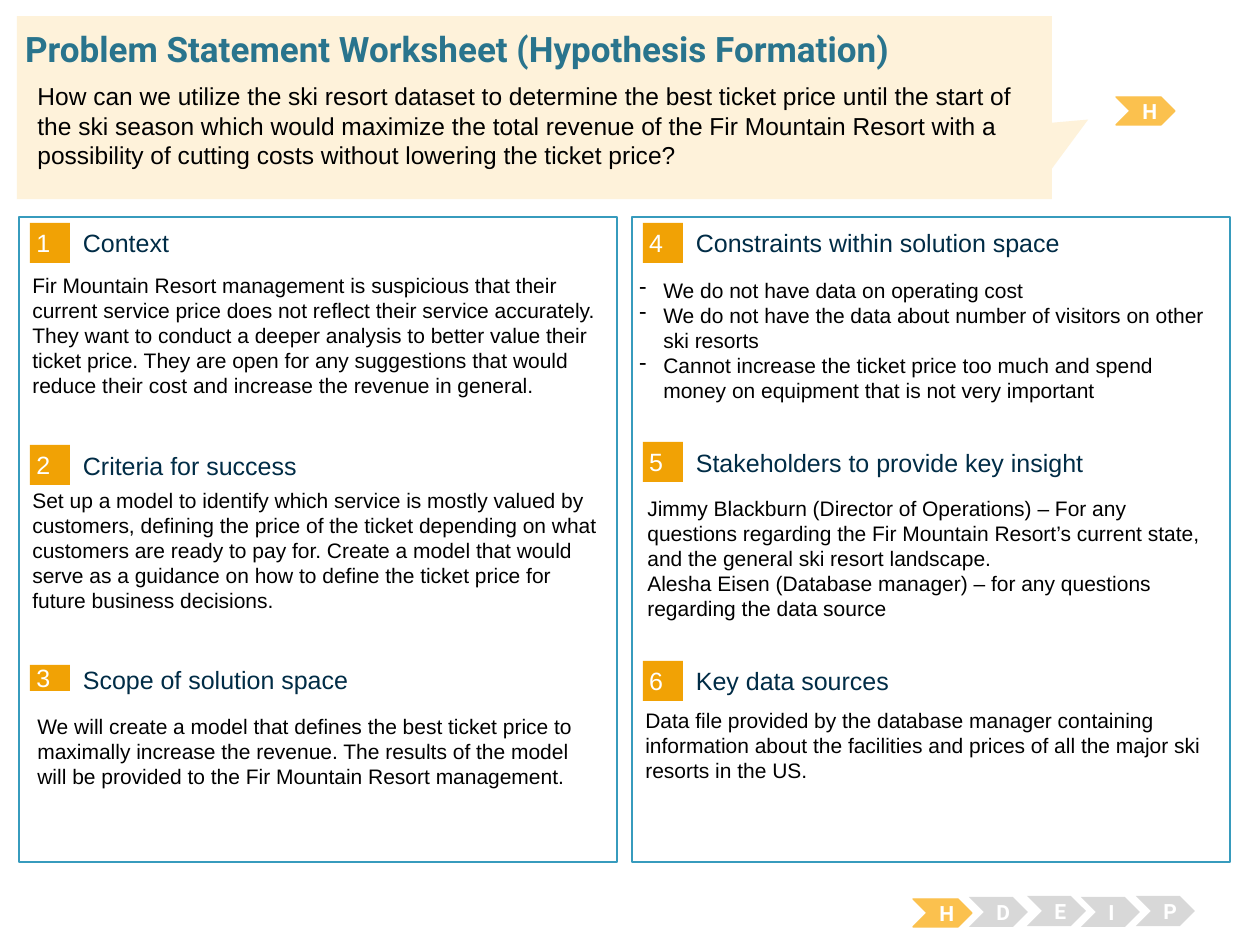
from lxml import etree
from pptx import Presentation, util as u
from pptx.dml.color import RGBColor
from pptx.enum import shapes, text
from pptx.oxml import ns

SCALE = 914400 // 126  # EMU per pixel
WHITE = RGBColor(0xFF, 0xFF, 0xFF)
BLACK = RGBColor(0, 0, 0)
TEAL = RGBColor(0x29, 0x74, 0x8D)
BORDER = RGBColor(0x37, 0x9B, 0xBD)
NAVY = RGBColor(0x00, 0x2C, 0x46)
ORANGE = RGBColor(0xF1, 0xA2, 0x05)
AMBER = RGBColor(0xFB, 0xC1, 0x4E)
GREY = RGBColor(0xD8, 0xD8, 0xD8)
CREAM = RGBColor(0xFE, 0xF2, 0xDA)
STANDARD_INSETS = (0.1, 0.05, 0.1, 0.05)
BADGE_INSETS = (0.05,) * 4
NO_INSETS = (0,) * 4

# Content
TITLE = "Problem Statement Worksheet (Hypothesis Formation)"
QUESTION = (
    "How can we utilize the ski resort dataset to determine the best ticket price until the start of "
    "the ski season which would maximize the total revenue of the Fir Mountain Resort with a "
    "possibility of cutting costs without lowering the ticket price?")

# Column, heading, badge top and height, heading top and height, body box, bulleted, paragraphs
SECTIONS = [
    (0, "Context", (223, 40), (227, 32), (20, 266, 596, 171), False, [
        "Fir Mountain Resort management is suspicious that their current service price does not "
        "reflect their service accurately. They want to conduct a deeper analysis to better value "
        "their ticket price. They are open for any suggestions that would reduce their cost and "
        "increase the revenue in general."]),
    (0, "Criteria for success", (445, 40), (450, 32), (20, 481, 596, 141), False, [
        "Set up a model to identify which service is mostly valued by customers, defining the price "
        "of the ticket depending on what customers are ready to pay for. Create a model that would "
        "serve as a guidance on how to define the ticket price for future business decisions."]),
    (0, "Scope of solution space", (665, 26), (670, 20), (25, 707, 580, 118), False, [
        "We will create a model that defines the best ticket price to maximally increase the "
        "revenue. The results of the model will be provided to the Fir Mountain Resort management."]),
    (1, "Constraints within solution space", (223, 40), (227, 32), (627, 271, 596, 175), True, [
        "We do not have data on operating cost",
        "We do not have the data about number of visitors on other ski resorts",
        "Cannot increase the ticket price too much and spend money on equipment that is not very "
        "important"]),
    (1, "Stakeholders to provide key insight", (442, 40), (446, 32), (635, 489, 596, 149), False, [
        "Jimmy Blackburn (Director of Operations) – For any questions regarding the Fir Mountain "
        "Resort’s current state, and the general ski resort landscape.",
        "Alesha Eisen (Database manager) – for any questions regarding the data source"]),
    (1, "Key data sources", (661, 40), (665, 32), (633, 701, 596, 149), False, [
        "Data file provided by the database manager containing information about the facilities and "
        "prices of all the major ski resorts in the US."]),
]

# Letter, left, top, height, is current stage
STAGES = [("H", 913, 899, 28, True), ("D", 969, 897, 30, False), ("E", 1027, 896, 30, False),
          ("I", 1081, 897, 30, False), ("P", 1136, 896, 30, False), ("H", 1116, 97, 28, True)]
COLUMN_STEP = 613

presentation = Presentation()
presentation.slide_width, presentation.slide_height = u.Inches(10), u.Inches(7.5)
slide = presentation.slides.add_slide(presentation.slide_layouts[5])


def px(*lengths):
    return [length * SCALE for length in lengths]


def write(shape, paragraphs, size, color, font="Arial", bold=False, insets=STANDARD_INSETS,
          anchor=text.MSO_ANCHOR.TOP, align=text.PP_ALIGN.LEFT, bulleted=False):
    frame = shape.text_frame
    frame.word_wrap = True
    frame.auto_size = text.MSO_AUTO_SIZE.NONE
    frame.vertical_anchor = anchor
    (frame.margin_left, frame.margin_top,
     frame.margin_right, frame.margin_bottom) = [u.Inches(inset) for inset in insets]
    for index, words in enumerate(paragraphs):
        paragraph = frame.add_paragraph() if index else frame.paragraphs[0]
        paragraph.alignment = align
        if bulleted:
            properties = paragraph._p.get_or_add_pPr()
            properties.set("marL", str(24 * SCALE))
            properties.set("indent", str(-24 * SCALE))
            etree.SubElement(properties, ns.qn("a:buChar")).set("char", "-")
        run = paragraph.add_run()
        run.text = words
        run.font.name, run.font.size, run.font.bold = font, u.Pt(size), bold
        run.font.color.rgb = color


def add_text(box, paragraphs, size, color, **style):
    write(slide.shapes.add_textbox(*px(*box)), paragraphs, size, color, **style)


def add_block(kind, box, fill, line=None, line_width=0.75):
    shape = slide.shapes.add_shape(kind, *px(*box))
    shape.shadow.inherit = False
    shape.fill.solid()
    shape.fill.fore_color.rgb = fill
    if line is None:
        shape.line.fill.background()
    else:
        shape.line.color.rgb = line
        shape.line.width = u.Pt(line_width)
    return shape


# Column panels
for column in range(2):
    add_block(shapes.MSO_SHAPE.RECTANGLE, (19 + column * COLUMN_STEP, 217, 598, 645),
              WHITE, BORDER, 1.5)

# Numbered sections
for number, (column, heading, badge_span, heading_span, body_box, bulleted,
             paragraphs) in enumerate(SECTIONS, 1):
    shift = column * COLUMN_STEP
    badge = add_block(shapes.MSO_SHAPE.RECTANGLE,
                      (30 + shift, badge_span[0], 40, badge_span[1]), ORANGE)
    write(badge, [str(number)], 14.3, WHITE, insets=BADGE_INSETS, anchor=text.MSO_ANCHOR.MIDDLE)
    add_text((83 + shift, heading_span[0], 495, heading_span[1]), [heading], 14.3, NAVY,
             insets=NO_INSETS, anchor=text.MSO_ANCHOR.MIDDLE)
    add_text(body_box, paragraphs, 12, BLACK, bulleted=bulleted)

# Stage chevrons
for letter, left, top, height, current in STAGES:
    chevron = add_block(shapes.MSO_SHAPE.CHEVRON, (left, top, 59, height),
                        AMBER if current else GREY, AMBER if current else None)
    write(chevron, [letter], 12, WHITE, font="Roboto", bold=True,
          anchor=text.MSO_ANCHOR.MIDDLE, align=text.PP_ALIGN.CENTER)

# Callout with title and question
callout = add_block(shapes.MSO_SHAPE.RECTANGULAR_CALLOUT, (17, 16, 1035, 183), CREAM)
callout.adjustments[0], callout.adjustments[1] = 0.535, 0.066
title = slide.shapes.title
title.left, title.top, title.width, title.height = px(25, 27, 1212, 43)
write(title, [TITLE], 20, TEAL, font="Roboto", bold=True, insets=NO_INSETS)
callout.element.addnext(title.element)
add_text((25, 75, 1027, 133), [QUESTION], 14, BLACK)

presentation.save("out.pptx")
